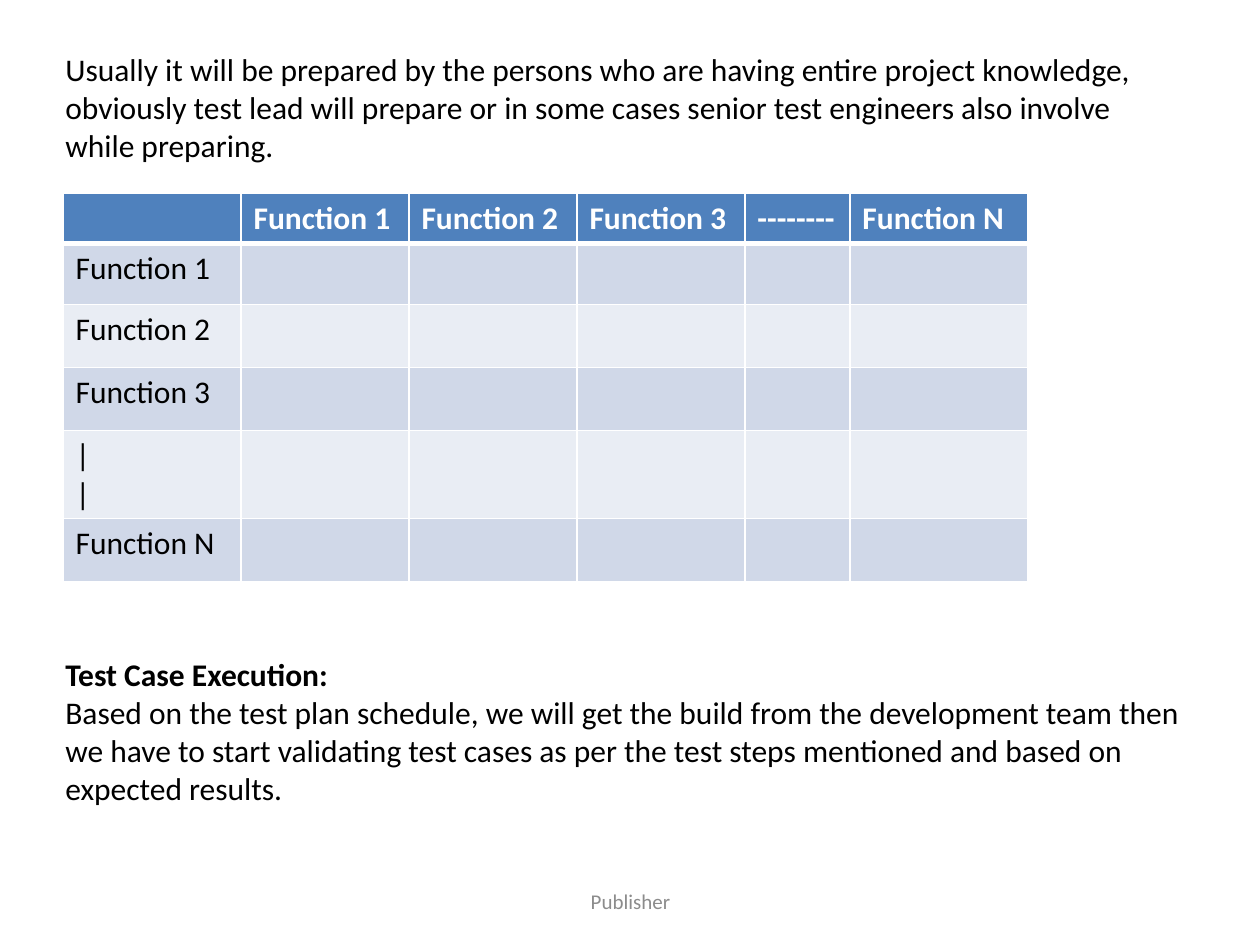
from dataclasses import dataclass

from lxml import etree
from pptx import Presentation
from pptx import util as u
from pptx.dml.color import RGBColor
from pptx.enum import text
from pptx.oxml.ns import qn


@dataclass(frozen=True)
class Theme:
    font: str = "Calibri"
    body_size: int = 18
    footer_size: int = 12
    ink: str = "000000"
    muted: str = "8C8C8C"
    paper: str = "FFFFFF"
    header: str = "4F81BD"
    bands: tuple = ("D0D8E8", "E9EDF4")
    rule: int = 1
    header_rule: int = 3


THEME = Theme()
PX_PER_INCH = 126

INTRO = (
    "Usually it will be prepared by the persons who are having entire project knowledge, "
    "obviously test lead will prepare or in some cases senior test engineers also involve "
    "while preparing."
)
HEADING = "Test Case Execution:"
EXECUTION = (
    "Based on the test plan schedule, we will get the build from the development team then "
    "we have to start validating test cases as per the test steps mentioned and based on "
    "expected results."
)
TABLE_GAP_PT = 281

FUNCTIONS = [f"Function {n}" for n in (1, 2, 3)]
COLUMN_LABELS = ["", *FUNCTIONS, "--------", "Function N"]
ROW_LABELS = [*FUNCTIONS, "|\n|", "Function N"]
COLUMN_WIDTHS = [178, 168, 168, 168, 105, 178]
ROW_HEIGHTS = [50, 61, 63, 63, 88, 63]


def px(length):
    return u.Emu(round(length * 914400 / PX_PER_INCH))


def style(paragraph, size=THEME.body_size, color=THEME.ink, bold=False):
    font = paragraph.font
    font.name = THEME.font
    font.size = u.Pt(size)
    font.bold = bold
    font.color.rgb = RGBColor.from_string(color)


def add_text(slide, left, top, width, height, lines):
    frame = slide.shapes.add_textbox(px(left), px(top), px(width), px(height)).text_frame
    frame.word_wrap = True
    frame.text = "\n".join(lines)
    for paragraph in frame.paragraphs:
        style(paragraph)
    return frame


def add_border(cell, side, width):
    line = etree.SubElement(cell._tc.get_or_add_tcPr(), qn(f"a:ln{side}"), w=str(u.Pt(width)))
    fill = etree.SubElement(line, qn("a:solidFill"))
    etree.SubElement(fill, qn("a:srgbClr"), val=THEME.paper)


def format_cell(cell, label, row):
    is_header = row == 0
    heavy_side = {0: "B", 1: "T"}.get(row)
    for side in "LRTB":
        add_border(cell, side, THEME.header_rule if side == heavy_side else THEME.rule)
    cell.fill.solid()
    background = THEME.header if is_header else THEME.bands[(row - 1) % 2]
    cell.fill.fore_color.rgb = RGBColor.from_string(background)
    cell.text = label
    for paragraph in cell.text_frame.paragraphs:
        style(paragraph, color=THEME.paper if is_header else THEME.ink, bold=is_header)


def add_matrix(slide, left, top):
    rows = [COLUMN_LABELS] + [[label] + [""] * len(COLUMN_LABELS[1:]) for label in ROW_LABELS]
    matrix = slide.shapes.add_table(
        len(rows), len(COLUMN_LABELS), px(left), px(top),
        px(sum(COLUMN_WIDTHS)), px(sum(ROW_HEIGHTS)),
    ).table
    for column, width in zip(matrix.columns, COLUMN_WIDTHS):
        column.width = px(width)
    for r, (labels, height) in enumerate(zip(rows, ROW_HEIGHTS)):
        matrix.rows[r].height = px(height)
        for c, label in enumerate(labels):
            format_cell(matrix.cell(r, c), label, r)


def add_footer(slide):
    footer = add_text(slide, 431, 876, 399, 50, ["Publisher"])
    footer.vertical_anchor = text.MSO_ANCHOR.MIDDLE
    credit = footer.paragraphs[0]
    credit.alignment = text.PP_ALIGN.CENTER
    style(credit, THEME.footer_size, THEME.muted)


def add_body(slide):
    body = add_text(slide, 53, 44, 1144, 776, [INTRO, HEADING, EXECUTION])
    heading = body.paragraphs[1]
    heading.space_before = u.Pt(TABLE_GAP_PT)
    style(heading, bold=True)


def main():
    deck = Presentation()
    deck.slide_width, deck.slide_height = px(1260), px(945)
    slide = deck.slides.add_slide(deck.slide_layouts.get_by_name("Blank"))
    add_footer(slide)
    add_body(slide)
    add_matrix(slide, 63, 193)
    deck.save("out.pptx")


if __name__ == "__main__":
    main()
